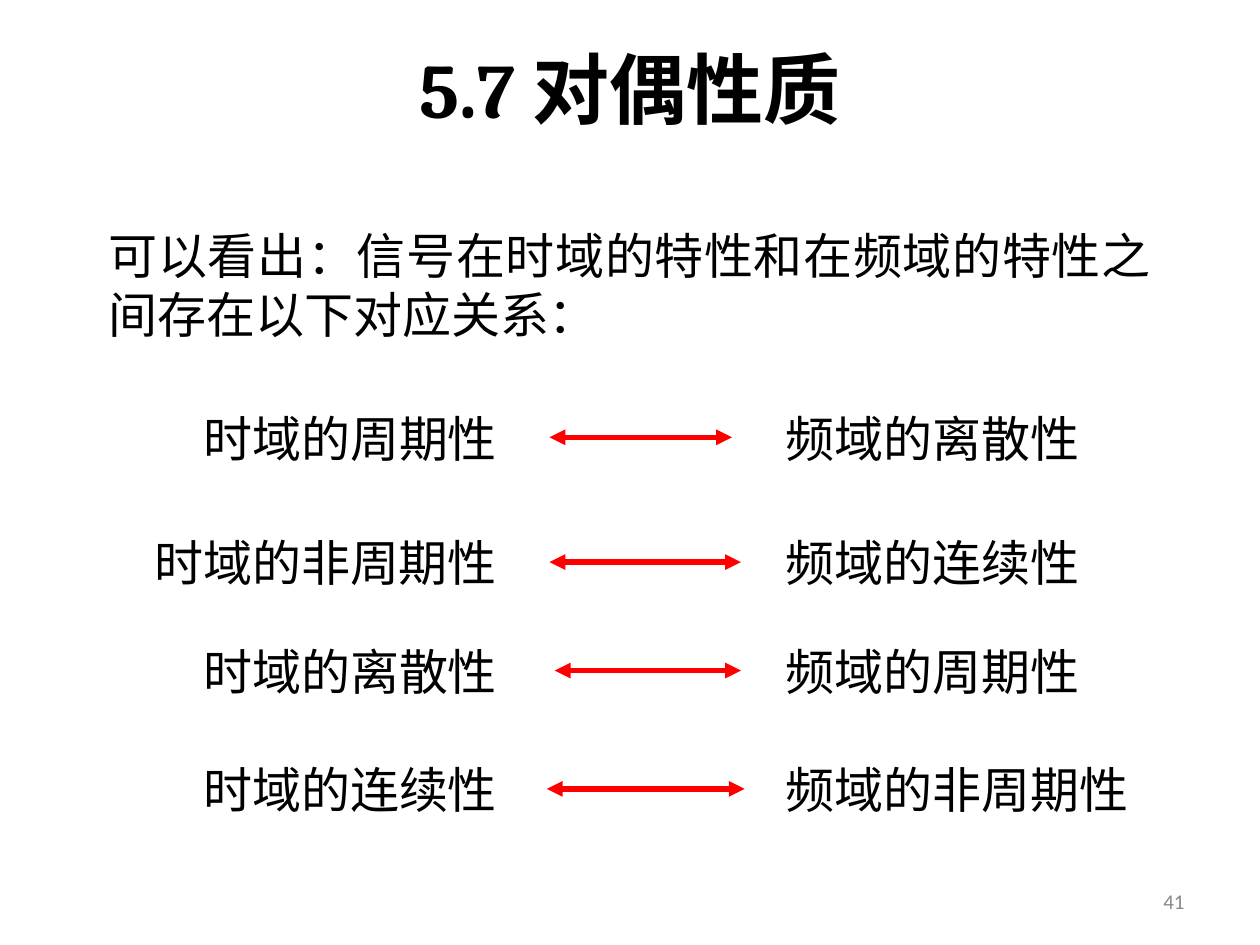
import pptx
import pptx.dml.color
import pptx.enum.text
import pptx.enum.shapes
import pptx.oxml.ns
import pptx.util
from lxml import etree

Pt = pptx.util.Pt
ALIGN = pptx.enum.text.PP_ALIGN
ANCHOR = pptx.enum.text.MSO_ANCHOR
CJK_FONT = "Noto Sans CJK SC"
ROWS = [
    ("时域的周期性", "频域的离散性", 229.7, 314, 418.3),
    ("时域的非周期性", "频域的连续性", 301, 314, 423.4),
    ("时域的离散性", "频域的周期性", 363, 317, 423.4),
    ("时域的连续性", "频域的非周期性", 430.6, 312.5, 425.5),
]


def colour(value):
    """Turn a hex string into a colour."""
    return pptx.dml.color.RGBColor.from_string(value)


def add_element(parent, tag, **attributes):
    """Append a DrawingML element to its parent."""
    return etree.SubElement(parent, pptx.oxml.ns.qn(tag), **attributes)


def write(box, text, size=28, font="Arial", color="000000", bold=False,
          align=ALIGN.LEFT, anchor=ANCHOR.TOP):
    """Fill a box with one formatted paragraph."""
    frame = box.text_frame
    frame.word_wrap = True
    frame.vertical_anchor = anchor
    para = frame.paragraphs[0]
    para.alignment = align
    span = para.add_run()
    span.text = text
    span.font.size = Pt(size)
    span.font.bold = bold
    span.font.color.rgb = colour(color)
    span.font.name = font
    add_element(span.font._element, "a:ea", typeface=CJK_FONT)


def add_text(page, text, left, top, width, height, **style):
    """Add a text box with formatted text."""
    box = page.shapes.add_textbox(Pt(left), Pt(top), Pt(width), Pt(height))
    write(box, text, **style)


def add_double_arrow(page, start, end, y):
    """Add a horizontal red line with a head at each end."""
    arrow = page.shapes.add_connector(
        pptx.enum.shapes.MSO_CONNECTOR.STRAIGHT, Pt(start), Pt(y), Pt(end), Pt(y))
    arrow.line.color.rgb = colour("FF0000")
    arrow.line.width = Pt(3)
    line = arrow.line._get_or_add_ln()
    for tag in ("a:headEnd", "a:tailEnd"):
        add_element(line, tag, type="triangle")
    add_element(arrow._element.spPr, "a:effectLst")


def add_title(page, text):
    """Place and format the title."""
    title = page.shapes.title
    title.left, title.top, title.width, title.height = Pt(36), Pt(21.6), Pt(648), Pt(57)
    write(title, text, size=44, font="Cambria", bold=True,
          align=ALIGN.CENTER, anchor=ANCHOR.MIDDLE)


def main():
    """Build the slide on the duality property."""
    deck = pptx.Presentation()
    deck.slide_width, deck.slide_height = Pt(720), Pt(540)
    page = deck.slides.add_slide(deck.slide_layouts[5])
    add_title(page, "5.7 对偶性质")
    add_text(page, "可以看出：信号在时域的特性和在频域的特性之间存在以下对应关系：",
             55, 125.3, 610, 75, align=ALIGN.JUSTIFY)
    for time_side, frequency_side, top, start, end in ROWS:
        add_text(page, time_side, 73, top, 218, 41, font=CJK_FONT, align=ALIGN.RIGHT)
        add_double_arrow(page, start, end, top + 20.2)
        add_text(page, frequency_side, 442, top, 220, 41)
    add_text(page, "41", 516, 500.5, 168, 28.8, size=12, font="Calibri",
             color="898989", align=ALIGN.RIGHT, anchor=ANCHOR.MIDDLE)
    deck.save("out.pptx")


if __name__ == "__main__":
    main()
